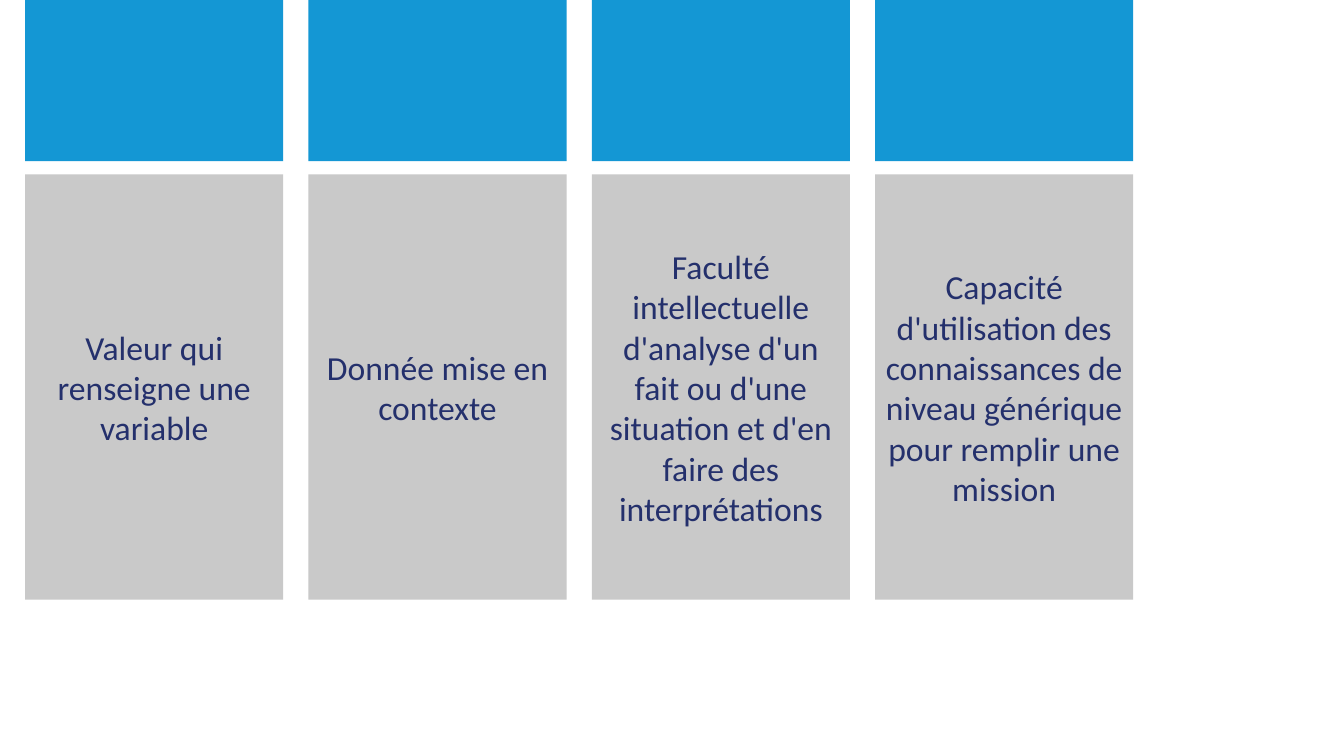
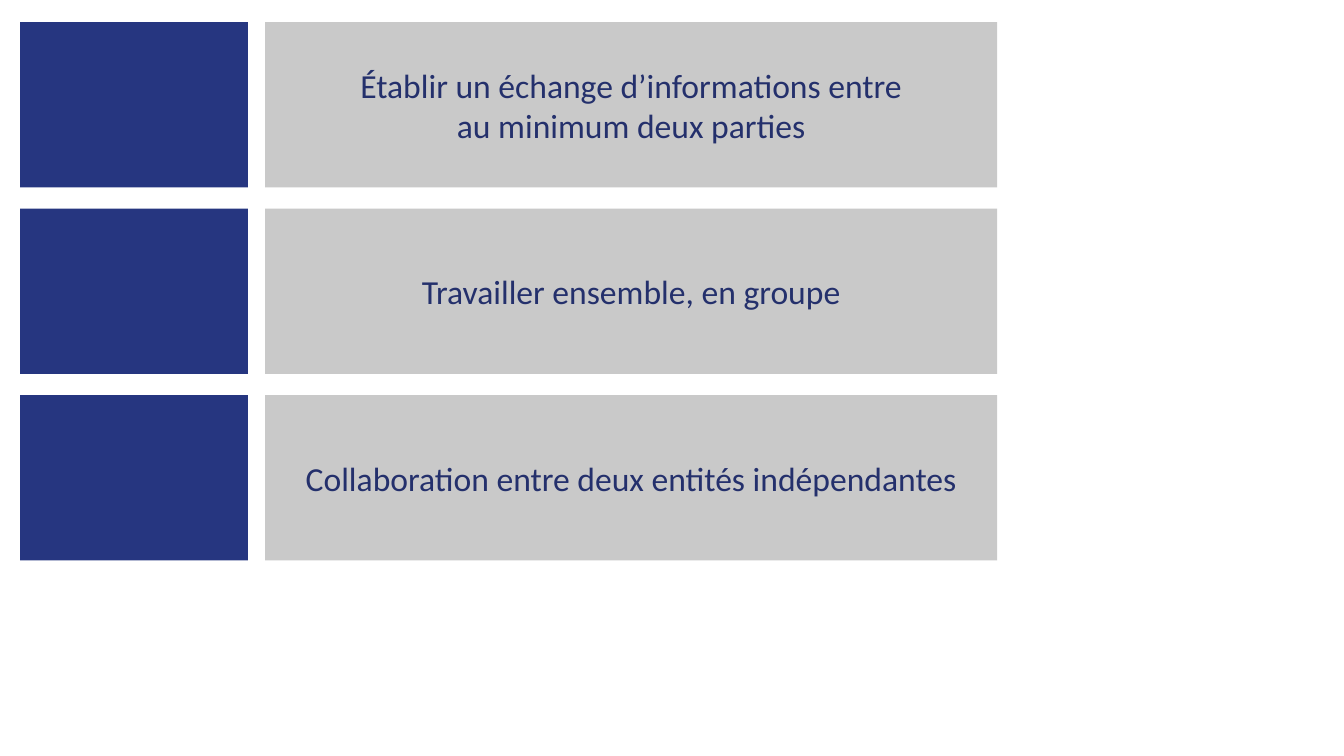
"""Build two slides of coloured panels with definitions in French."""
from pptx import Presentation
from pptx.dml.color import RGBColor
from pptx.enum.shapes import MSO_SHAPE as Shape
from pptx.enum.text import MSO_ANCHOR as Anchor, PP_ALIGN as Align
from pptx.util import Inches, Pt

SKY_BLUE = "1497D4"
NAVY = "263680"
GREY = "C9C9C9"
TEXT_BLUE = "24306C"
TEXT_FORMAT = {"name": "Calibri", "size": Pt(24)}


def color(hex_string):
    return RGBColor.from_string(hex_string)


def add_panel(slide, left, top, width, height, fill, text=""):
    shape = slide.shapes.add_shape(
        Shape.RECTANGLE, Inches(left), Inches(top), Inches(width), Inches(height)
    )
    shape.shadow.inherit = False
    shape.fill.solid()
    shape.fill.fore_color.rgb = color(fill)
    shape.line.fill.background()
    if text:
        frame = shape.text_frame
        frame.word_wrap = True
        frame.vertical_anchor = Anchor.MIDDLE
        frame.text = text
        paragraph = frame.paragraphs[0]
        paragraph.alignment = Align.CENTER
        for run in paragraph.runs:
            for attribute, value in TEXT_FORMAT.items():
                setattr(run.font, attribute, value)
            run.font.color.rgb = color(TEXT_BLUE)


presentation = Presentation()
presentation.slide_width = Inches(13.33)
presentation.slide_height = Inches(7.5)
blank_layout = presentation.slide_layouts[6]

column_texts = [
    "Valeur qui renseigne une variable",
    "Donnée mise en contexte",
    "Faculté intellectuelle d'analyse d'un fait ou d'une situation "
    "et d'en faire des interprétations",
    "Capacité d'utilisation des connaissances de niveau générique "
    "pour remplir une mission",
]
column_width, column_gap = 2.56, 0.25
slide = presentation.slides.add_slide(blank_layout)
for index, text in enumerate(column_texts):
    left = 0.25 + index * (column_width + column_gap)
    add_panel(slide, left, 0, column_width, 1.6, SKY_BLUE)
    add_panel(slide, left, 1.73, column_width, 4.22, GREY, text)

row_texts = [
    "Établir un échange d’informations entre\vau minimum deux parties",
    "Travailler ensemble, en groupe",
    "Collaboration entre deux entités indépendantes",
]
row_height, row_gap = 1.64, 0.21
slide = presentation.slides.add_slide(blank_layout)
for index, text in enumerate(row_texts):
    top = 0.22 + index * (row_height + row_gap)
    add_panel(slide, 0.2, top, 2.26, row_height, NAVY)
    add_panel(slide, 2.63, top, 7.26, row_height, GREY, text)

presentation.save("out.pptx")
